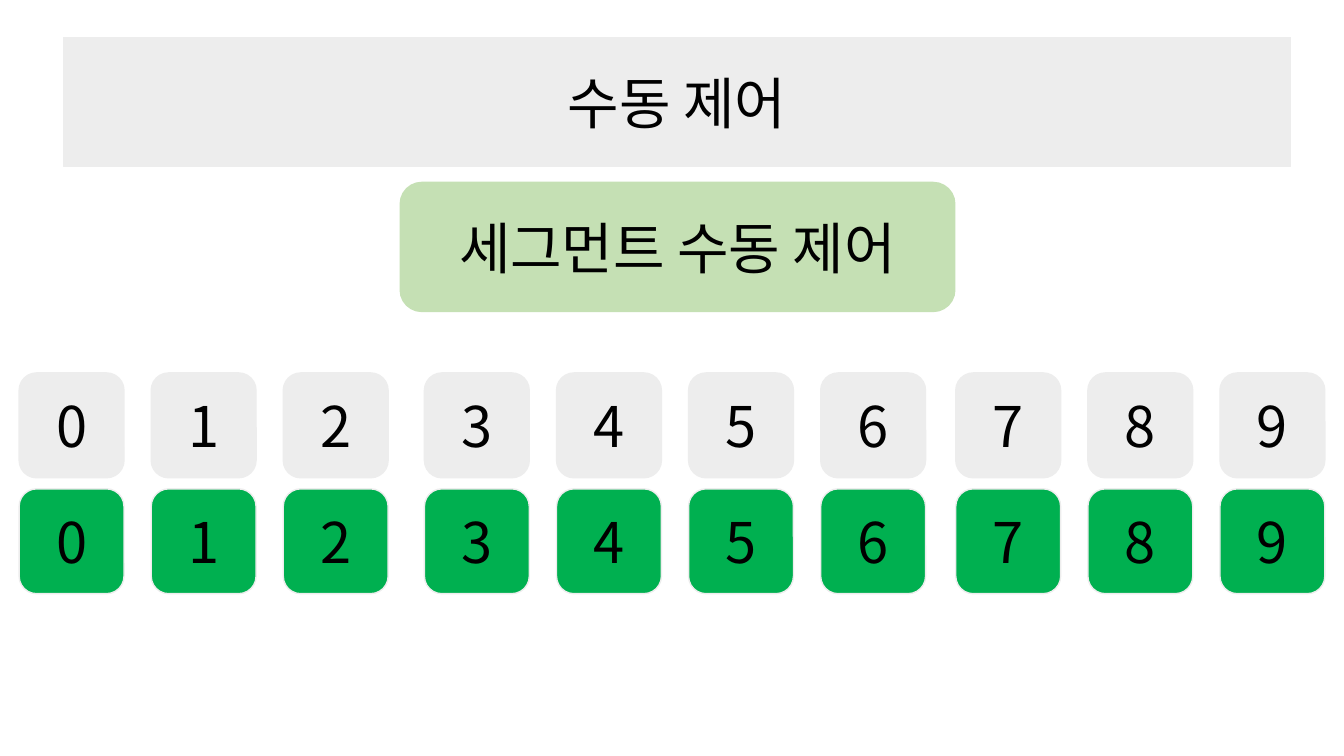
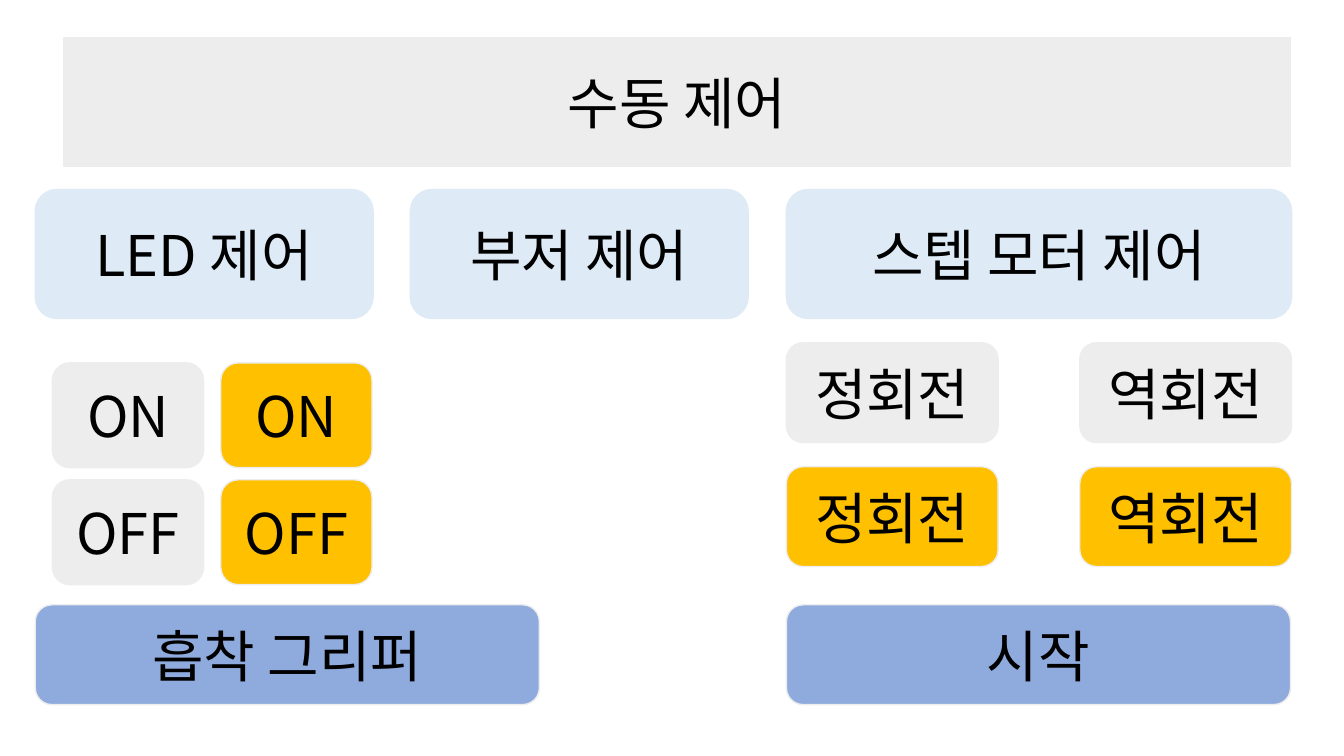
import pptx
import pptx.dml.color
import pptx.enum.shapes
import pptx.enum.text
import pptx.oxml
import pptx.oxml.ns
import pptx.util
from pptx.util import Inches

RGBColor = pptx.dml.color.RGBColor
BLACK = RGBColor(0x00, 0x00, 0x00)
GRAY = RGBColor(0xED, 0xED, 0xED)
PALE_GREEN = RGBColor(0xC5, 0xE0, 0xB4)
GREEN = RGBColor(0x00, 0xB0, 0x50)
PALE_BLUE = RGBColor(0xDE, 0xEB, 0xF7)
BLUE = RGBColor(0x8F, 0xAA, 0xDC)
AMBER = RGBColor(0xFF, 0xC0, 0x00)

FONT = "Noto Sans CJK KR"
TITLE = "수동 제어"
TITLE_LAYOUT = 5
ROUND_RECT = pptx.enum.shapes.MSO_SHAPE.ROUNDED_RECTANGLE
FONT_FORMAT = {"name": FONT, "size": pptx.util.Pt(40), "bold": False}
FRAME_FORMAT = {
    "word_wrap": True,
    "auto_size": pptx.enum.text.MSO_AUTO_SIZE.NONE,
    "vertical_anchor": pptx.enum.text.MSO_ANCHOR.MIDDLE,
}

HEADING_HEIGHT = 1.28
KEY_HEIGHT = 1.04
BUTTON_HEIGHT = 0.99
DIGIT_PITCH = 1.31
DIGIT_GROUPS = [(0.19, "012"), (4.21, "3456"), (9.48, "789")]
LEFT_EDGE = 0.35
MOTOR_LEFT = 7.8


def apply_format(target, values):
    """Set every attribute in values on target."""
    for name, value in values.items():
        setattr(target, name, value)


def style_box(box, text, fill, outline):
    """Fill, outline and label a box."""
    box.fill.solid()
    box.fill.fore_color.rgb = fill
    box.line.color.rgb = outline
    box.line.width = pptx.util.Pt(1)
    frame = box.text_frame
    apply_format(frame, FRAME_FORMAT)
    paragraph = frame.paragraphs[0]
    paragraph.alignment = pptx.enum.text.PP_ALIGN.CENTER
    run = paragraph.add_run()
    run.text = text
    apply_format(run.font, FONT_FORMAT)
    run.font.color.rgb = BLACK
    east_asian = pptx.oxml.parse_xml(
        f'<a:ea {pptx.oxml.ns.nsdecls("a")} typeface="{FONT}"/>')
    latin = run.font._element.find(pptx.oxml.ns.qn("a:latin"))
    latin.addnext(east_asian)


def add_box(slide, text, left, top, width, height, fill, outline=GRAY):
    """Add a rounded, labelled box at a place given in inches."""
    box = slide.shapes.add_shape(
        ROUND_RECT, Inches(left), Inches(top), Inches(width), Inches(height))
    box.shadow.inherit = False
    style_box(box, text, fill, outline)


def add_heading(slide, text, left, top, width, fill):
    """Add a section heading with an outline in its own colour."""
    add_box(slide, text, left, top, width, HEADING_HEIGHT, fill, fill)


def add_button_grid(slide, labels, lefts, tops, width, height, fills):
    """Add one button for each label, place and fill."""
    for text, left, top, fill in zip(labels, lefts, tops, fills):
        add_box(slide, text, left, top, width, height, fill)


def add_titled_slide(deck):
    """Add a slide whose title is the rounded gray band."""
    slide = deck.slides.add_slide(deck.slide_layouts[TITLE_LAYOUT])
    title = slide.shapes.title
    apply_format(title, {
        "left": Inches(0.63), "top": Inches(0.37),
        "width": Inches(12.17), "height": Inches(HEADING_HEIGHT),
    })
    title.element.spPr.append(pptx.oxml.parse_xml(
        f'<a:prstGeom {pptx.oxml.ns.nsdecls("a")} prst="roundRect"><a:avLst/></a:prstGeom>'))
    style_box(title, TITLE, GRAY, GRAY)
    return slide


def build_segment_slide(deck):
    """Build the segment control slide with its two rows of digits."""
    slide = add_titled_slide(deck)
    add_heading(slide, "세그먼트 수동 제어", 3.97, 1.81, 5.5, PALE_GREEN)
    for top, fill in [(3.7, GRAY), (4.85, GREEN)]:
        for start, digits in DIGIT_GROUPS:
            for index, digit in enumerate(digits):
                left = start + index * DIGIT_PITCH
                add_box(slide, digit, left, top, KEY_HEIGHT, KEY_HEIGHT, fill)


def build_device_slide(deck):
    """Build the LED, buzzer and step motor control slide."""
    slide = add_titled_slide(deck)
    for text, left, width in [("LED 제어", LEFT_EDGE, 3.35),
                              ("부저 제어", 4.07, 3.35),
                              ("스텝 모터 제어", MOTOR_LEFT, 5.01)]:
        add_heading(slide, text, left, 1.88, width, PALE_BLUE)
    add_button_grid(slide, ["ON", "ON", "OFF", "OFF"], [0.52, 2.19] * 2,
                    [3.6, 3.6, 4.76, 4.76], 1.5, KEY_HEIGHT, [GRAY, AMBER] * 2)
    add_button_grid(slide, ["정회전", "역회전"] * 2, [MOTOR_LEFT, 10.71] * 2,
                    [3.4, 3.4, 4.63, 4.63], 2.1, BUTTON_HEIGHT,
                    [GRAY, GRAY, AMBER, AMBER])
    add_button_grid(slide, ["흡착 그리퍼", "시작"], [LEFT_EDGE, MOTOR_LEFT],
                    [6, 6], 5, BUTTON_HEIGHT, [BLUE, BLUE])


def main():
    """Build and save the deck."""
    deck = pptx.Presentation()
    deck.slide_width = Inches(13.33)
    deck.slide_height = Inches(7.5)
    build_segment_slide(deck)
    build_device_slide(deck)
    deck.save("out.pptx")


if __name__ == "__main__":
    main()
